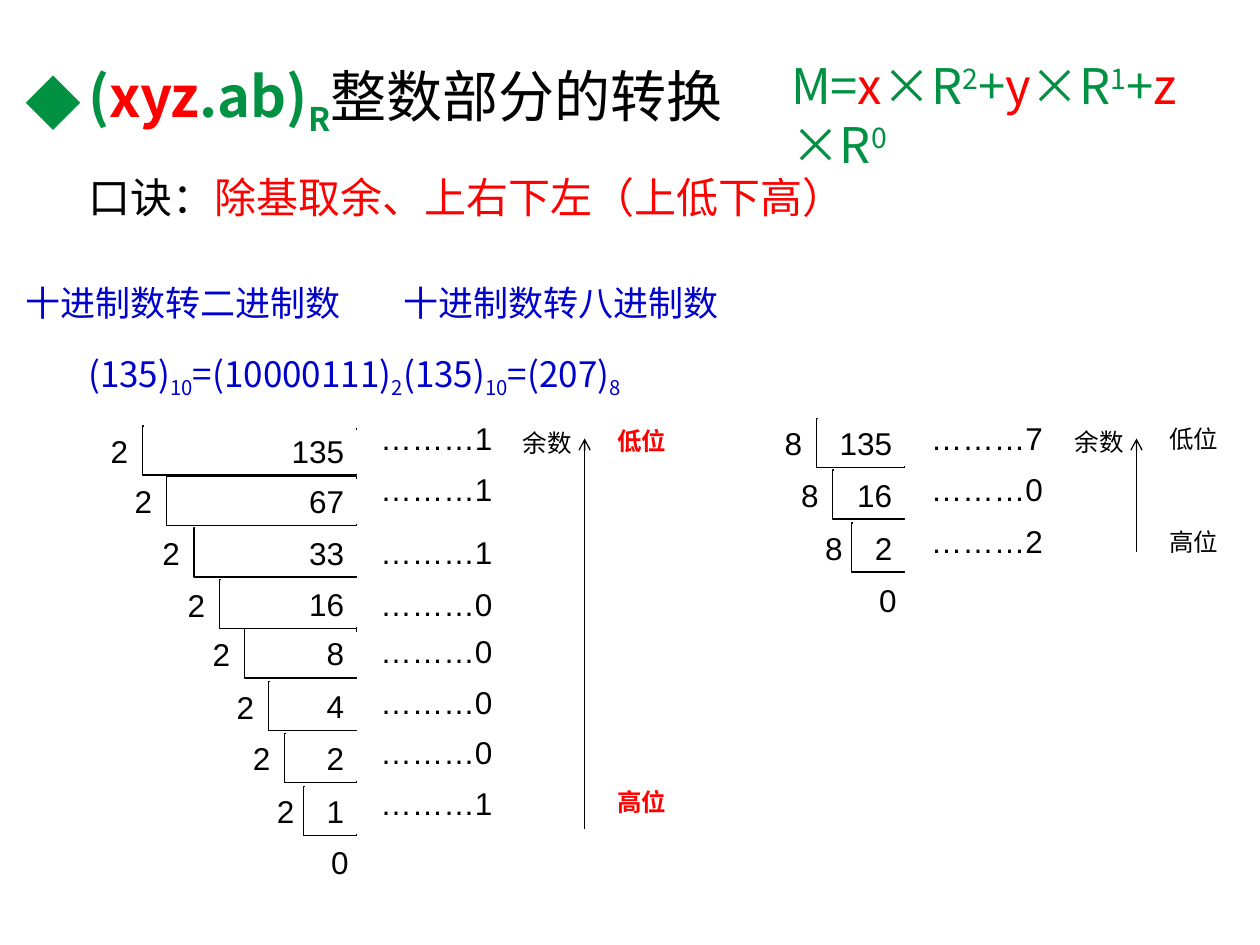
"""Build the slide on converting the integer part of a number between bases."""
from dataclasses import dataclass

from lxml import etree
from pptx import Presentation
from pptx.dml.color import RGBColor
from pptx.enum.shapes import MSO_CONNECTOR, MSO_SHAPE
from pptx.enum.text import MSO_ANCHOR, MSO_AUTO_SIZE, PP_ALIGN
from pptx.oxml.ns import qn
from pptx.util import Inches, Pt

RECTANGLE = MSO_SHAPE.RECTANGLE
STRAIGHT = MSO_CONNECTOR.STRAIGHT
TOP, MIDDLE = MSO_ANCHOR.TOP, MSO_ANCHOR.MIDDLE
RIGHT = PP_ALIGN.RIGHT
NO_AUTOFIT = MSO_AUTO_SIZE.NONE
COLUMNS, ROWS = 100, 75
SLIDE_WIDTH, SLIDE_HEIGHT = Inches(10), Inches(7.5)


@dataclass(frozen=True)
class Theme:
    green: str = "009242"
    red: str = "FF0000"
    blue: str = "0000CC"
    black: str = "000000"
    white: str = "FFFFFF"
    heading: int = 32
    formula: int = 28
    rule: int = 24
    example: int = 20
    digit: int = 18
    label: int = 14
    cjk: str = "Noto Sans CJK SC"
    latin: str = "Arial"


THEME = Theme()


@dataclass(frozen=True)
class Span:
    text: str
    color: str
    bold: bool = False
    baseline: int = 0


@dataclass(frozen=True)
class Line:
    spans: tuple[Span, ...]
    size: int
    height: float
    before: float = 0
    after: float = 0
    margin: float = 0
    bullet: str = ""
    tabs: tuple[float, ...] = ()


@dataclass(frozen=True)
class Step:
    top: float
    left: float
    value: str
    remainder: str
    remainder_top: float
    mask_drop: float = 0.1
    divisor_gap: float = 3.5


@dataclass(frozen=True)
class Division:
    divisor: str
    right: float
    remainder_left: float
    steps: tuple[Step, ...]
    zero: tuple[float, float]


@dataclass(frozen=True)
class Direction:
    left: float
    top: float
    arrow_bottom: float
    high_top: float
    color: str
    bold: bool


def col(cells: float) -> int:
    return round(SLIDE_WIDTH * cells / COLUMNS)


def row(cells: float) -> int:
    return round(SLIDE_HEIGHT * cells / ROWS)


def add_spans(paragraph, spans: tuple[Span, ...], size: int, font: str) -> None:
    for span in spans:
        run = paragraph.add_run()
        run.text = span.text
        run.font.size, run.font.bold, run.font.name = Pt(size), span.bold, font
        run.font.color.rgb = RGBColor.from_string(span.color)
        properties = run.font._element
        etree.SubElement(properties, qn("a:ea"), typeface=THEME.cjk)
        if span.baseline:
            properties.set("baseline", str(span.baseline * 1000))


def fill_line(paragraph, line: Line) -> None:
    properties = paragraph._p.get_or_add_pPr()
    properties.set("marL", str(col(line.margin)))
    properties.set("indent", str(-col(line.margin) if line.bullet else 0))
    if line.bullet:
        color = etree.SubElement(properties, qn("a:buClr"))
        etree.SubElement(color, qn("a:srgbClr"), val=THEME.green)
        etree.SubElement(properties, qn("a:buFont"), typeface=THEME.cjk)
        etree.SubElement(properties, qn("a:buChar"), char=line.bullet)
    else:
        etree.SubElement(properties, qn("a:buNone"))
    if line.tabs:
        stops = etree.SubElement(properties, qn("a:tabLst"))
        for stop in line.tabs:
            etree.SubElement(stops, qn("a:tab"), pos=str(col(stop)), algn="l")
    paragraph.line_spacing = Pt(line.height)
    paragraph.space_before, paragraph.space_after = Pt(line.before), Pt(line.after)
    add_spans(paragraph, line.spans, line.size, THEME.cjk)


def add_text(slide, left: float, top: float, width: float, height: float,
             spans: tuple[Span, ...], size: int, font: str = THEME.latin, wrap: bool = False):
    frame = slide.shapes.add_textbox(col(left), row(top), col(width), row(height)).text_frame
    frame.word_wrap = wrap
    add_spans(frame.paragraphs[0], spans, size, font)
    return frame.paragraphs[0]


def add_digit(slide, left: float, top: float, width: float, text: str) -> None:
    add_text(slide, left, top, width, 4, (Span(text, THEME.black),), THEME.digit)


def add_line(slide, start: tuple[float, float], end: tuple[float, float],
             color: str, weight: float, arrow: bool = False) -> None:
    connector = slide.shapes.add_connector(
        STRAIGHT, col(start[0]), row(start[1]), col(end[0]), row(end[1]))
    connector.line.color.rgb = RGBColor.from_string(color)
    connector.line.width = Pt(weight)
    if arrow:
        etree.SubElement(connector.line._get_or_add_ln(), qn("a:headEnd"), type="arrow")
    etree.SubElement(connector._element.spPr, qn("a:effectLst"))


def add_division(slide, division: Division) -> None:
    right = division.right
    for step in division.steps:
        dividend = slide.shapes.add_shape(
            RECTANGLE, col(step.left), row(step.top), col(right - step.left), row(3.9))
        dividend.shadow.inherit = False
        dividend.fill.background()
        dividend.line.color.rgb = RGBColor.from_string(THEME.black)
        dividend.line.width = Pt(0.75)
        frame = dividend.text_frame
        frame.vertical_anchor = MIDDLE
        frame.paragraphs[0].alignment = RIGHT
        add_spans(frame.paragraphs[0], (Span(step.value, THEME.black),), THEME.digit, THEME.latin)
        add_digit(slide, step.left - step.divisor_gap, step.top, 3.4, division.divisor)
        mask_top = step.top + step.mask_drop
        add_line(slide, (step.left + 0.1, mask_top), (right, mask_top), THEME.white, 3)
        add_line(slide, (right + 0.1, step.top + 0.3), (right + 0.1, step.top + 3.8),
                 THEME.white, 3)
        add_digit(slide, division.remainder_left, step.remainder_top, 10.9,
                  "………" + step.remainder)
    add_digit(slide, *division.zero, 3.4, "0")


def add_direction(slide, mark: Direction) -> None:
    labels = (
        (mark.left, mark.top + 0.2, Span("余数", THEME.black)),
        (mark.left + 7.5, mark.top, Span("低位", mark.color, mark.bold)),
        (mark.left + 7.5, mark.high_top, Span("高位", mark.color, mark.bold)),
    )
    for left, top, span in labels:
        add_text(slide, left, top, 5.9, 3.4, (span,), THEME.label)
    arrow_left = mark.left + 5.9
    add_line(slide, (arrow_left, 34.8), (arrow_left, mark.arrow_bottom), THEME.black, 0.75, True)


def blue(text: str, baseline: int = 0) -> Span:
    return Span(text, THEME.blue, baseline=baseline)


LINES = (
    Line((Span("(", THEME.green, True), Span("xyz", THEME.red, True),
          Span(".ab)", THEME.green, True), Span("R", THEME.green, True, -25),
          Span("整数部分的转换", THEME.black)),
         THEME.heading, 67.5, margin=5, bullet="◆"),
    Line((Span("口诀：", THEME.black), Span("除基取余、上右下左（上低下高）", THEME.red)),
         THEME.rule, 43.5, before=4.5, after=18, margin=5),
    Line((blue("十进制数转二进制数\t十进制数转八进制数"),),
         THEME.example, 36, before=3.7, tabs=(45.6,)),
    Line((blue("\t(135)"), blue("10", -25), blue("=(10000111)"), blue("2", -25),
          blue("\t(135)"), blue("10", -25), blue("=(207)"), blue("8", -25)),
         THEME.example, 40, before=3.7, tabs=(5.3, 49.6)),
)

FORMULA = tuple(
    Span(text, color, baseline=baseline) for text, color, baseline in (
        ("M=", THEME.green, 0), ("x", THEME.red, 0), ("×R", THEME.green, 0),
        ("2", THEME.green, 30), ("+", THEME.green, 0), ("y", THEME.red, 0),
        ("×R", THEME.green, 0), ("1", THEME.green, 30), ("+", THEME.green, 0),
        ("z", THEME.red, 0), ("×R", THEME.green, 0), ("0", THEME.green, 30)))

DIVISIONS = (
    Division("2", 28.3, 29.2, (
        Step(33.8, 11.3, "135", "1", 32.8, 0), Step(37.8, 13.2, "67", "1", 36.8, 0.4),
        Step(41.9, 15.4, "33", "1", 41.8), Step(46, 17.4, "16", "0", 45.9),
        Step(49.9, 19.4, "8", "0", 49.7, 0.6), Step(54.1, 21.3, "4", "0", 53.7),
        Step(58.2, 22.6, "2", "0", 57.7), Step(62.4, 24.1, "1", "1", 61.7, divisor_gap=3.1),
    ), (25.3, 66.4)),
    Division("8", 71.8, 72.9, (
        Step(33.2, 64.8, "135", "7", 32.8), Step(37.3, 66.1, "16", "0", 36.8),
        Step(41.5, 67.6, "2", "2", 40.9, divisor_gap=3.1),
    ), (68.8, 45.6)),
)

DIRECTIONS = (
    Direction(40.5, 33.3, 65.8, 62, THEME.red, True),
    Direction(84.3, 33.2, 43.8, 41.3, THEME.black, False),
)


def main() -> None:
    presentation = Presentation()
    presentation.slide_width, presentation.slide_height = SLIDE_WIDTH, SLIDE_HEIGHT
    slide = presentation.slides.add_slide(presentation.slide_layouts[1])
    heading, body = slide.placeholders
    heading._element.getparent().remove(heading._element)
    body.left, body.top, body.width, body.height = col(1.3), row(1.3), col(97.4), row(39.2)
    body.fill.solid()
    body.fill.fore_color.rgb = RGBColor.from_string(THEME.white)
    frame = body.text_frame
    frame.auto_size, frame.vertical_anchor, frame.word_wrap = NO_AUTOFIT, TOP, True
    frame.margin_left = frame.margin_right = col(0.7)
    frame.margin_top = frame.margin_bottom = row(0.3)
    for index, line in enumerate(LINES):
        fill_line(frame.add_paragraph() if index else frame.paragraphs[0], line)
    for division in DIVISIONS:
        add_division(slide, division)
    for mark in DIRECTIONS:
        add_direction(slide, mark)
    formula = add_text(slide, 61.8, 3.9, 35.8, 5.7, FORMULA, THEME.formula, THEME.cjk, True)
    formula.line_spacing = Pt(33.7)
    presentation.save("out.pptx")


if __name__ == "__main__":
    main()
